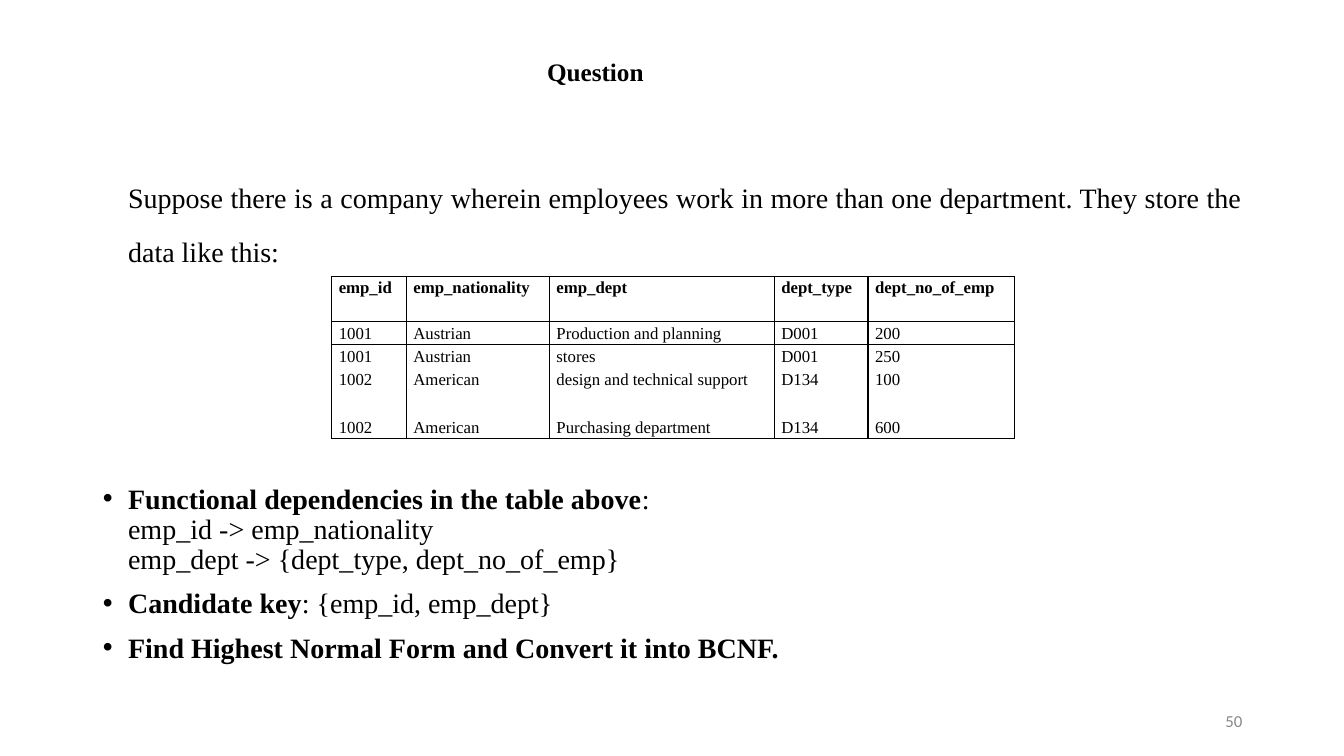
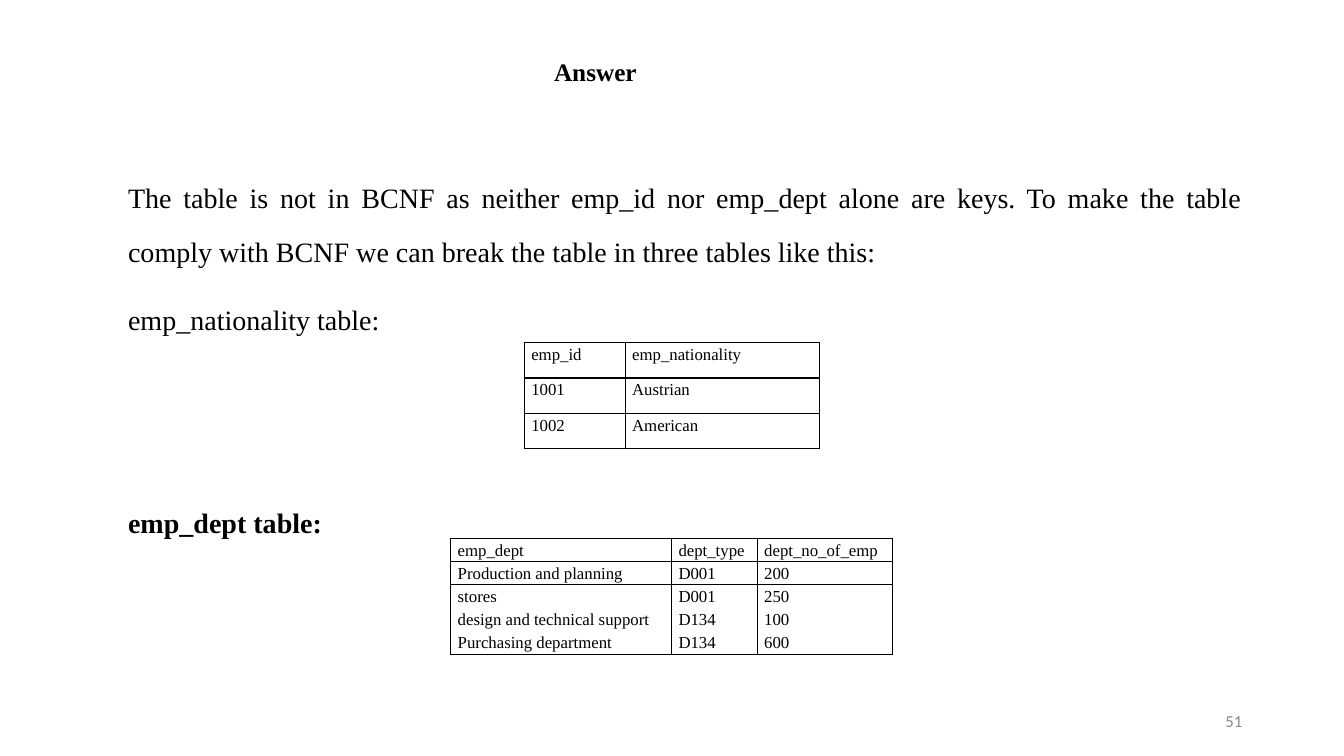
from lxml.etree import SubElement as Sub
from pptx import Presentation
from pptx.dml.color import RGBColor
from pptx.enum.text import MSO_ANCHOR as Anchor, MSO_AUTO_SIZE as Fit, PP_ALIGN as Align
from pptx.oxml.ns import qn
from pptx.util import Inches, Pt

BLACK = RGBColor(0, 0, 0)
GREY = RGBColor(0x88, 0x88, 0x88)
SERIF = "Times New Roman"
SANS = "Calibri"
PLAIN_STYLE = "{2D5ABB26-0587-4C30-8999-92F81FD0307C}"
FIRST = 50

TITLE_BOX = (0.92, 0.2, 9.97, 1.05)
BODY_BOX = (0.92, 1.54, 11.5, 5.21)
PAGE_BOX = (9.42, 6.95, 3, 0.4)

DEPTS = [
    ("Production and planning", "D001", "200"),
    ("stores", "D001", "250"),
    ("design and technical support", "D134", "100"),
    ("Purchasing department", "D134", "600"),
]
STAFF = [("1001", "Austrian"), ("1002", "American")]
STAFF_HEAD = ("emp_id", "emp_nationality")
DEPT_HEAD = ("emp_dept", "dept_type", "dept_no_of_emp")


def place(shape, box):
    shape.left, shape.top, shape.width, shape.height = map(Inches, box)


def style(font, size, bold=False, name=SERIF, color=BLACK):
    font.name, font.size, font.bold = name, Pt(size), bold
    font.color.rgb = color


def add_run(para, text, size, bold=False):
    run = para.add_run()
    run.text = text
    style(run.font, size, bold)


def add_title(slide, text, box):
    title = slide.shapes.title
    place(title, box)
    frame = title.text_frame
    frame.auto_size = Fit.NONE
    frame.vertical_anchor = Anchor.MIDDLE
    para = frame.paragraphs[0]
    para.alignment = Align.CENTER
    para.line_spacing = 0.9
    add_run(para, text, 18, True)


def add_body(slide, items, box):
    body = slide.placeholders[1]
    place(body, box)
    frame = body.text_frame
    frame.auto_size = Fit.NONE
    for i, (runs, bullet, gap) in enumerate(items):
        para = frame.add_paragraph() if i else frame.paragraphs[0]
        para.alignment = Align.LEFT if bullet else Align.JUSTIFY
        para.line_spacing = 0.9 if bullet else 1.6
        para.space_before = Pt(gap)
        props = para._p.get_or_add_pPr()
        props.set("marL", str(Inches(0.25)))
        props.set("indent", str(Inches(-0.25 if bullet else 0)))
        if bullet:
            Sub(props, qn("a:buFont"), typeface="Arial")
            Sub(props, qn("a:buChar"), char="•")
        else:
            Sub(props, qn("a:buNone"))
        for text, bold in runs:
            for j, line in enumerate(text.split("\n")):
                if j:
                    para.add_line_break()
                add_run(para, line, 20, bold)


def add_page(slide, number, box):
    shape = slide.shapes.add_textbox(*map(Inches, box))
    frame = shape.text_frame
    frame.word_wrap = True
    frame.vertical_anchor = Anchor.MIDDLE
    para = frame.paragraphs[0]
    para.alignment = Align.RIGHT
    run = para.add_run()
    run.text = str(number)
    style(run.font, 12, name=SANS, color=GREY)
    field = run._r
    field.tag = qn("a:fld")
    field.set("id", "{B6F15528-21DE-4FAA-801E-634DDDAF4B2B}")
    field.set("type", "slidenum")


def add_edges(cell, sides):
    props = cell._tc.get_or_add_tcPr()
    for side in sides:
        line = Sub(props, qn(f"a:ln{side}"), w=str(Pt(1)))
        fill = Sub(line, qn("a:solidFill"))
        Sub(fill, qn("a:srgbClr"), val=str(BLACK))


def add_grid(slide, rows, left, top, cols, highs, bold=False):
    shape = slide.shapes.add_table(
        len(rows), len(cols), Inches(left), Inches(top),
        Inches(sum(cols)), Inches(sum(highs)))
    table = shape.table
    table.first_row = table.horz_banding = False
    table._tbl.tblPr.find(qn("a:tableStyleId")).text = PLAIN_STYLE
    for col, wide in zip(table.columns, cols):
        col.width = Inches(wide)
    for r, (row, high) in enumerate(zip(rows, highs)):
        table.rows[r].height = Inches(high)
        sides = ["L", "R"]
        if r < 2:
            sides.append("T")
        if r in (0, len(rows) - 1):
            sides.append("B")
        for c, text in enumerate(row):
            cell = table.cell(r, c)
            cell.margin_left = cell.margin_right = Inches(0.07)
            cell.margin_top = cell.margin_bottom = 0
            para = cell.text_frame.paragraphs[0]
            para.line_spacing = 1.15
            add_run(para, text, 12, bold and r == 0)
            add_edges(cell, sides)
            cell.fill.background()


def add_slide(deck, title, items):
    slide = deck.slides.add_slide(deck.slide_layouts[1])
    add_title(slide, title, TITLE_BOX)
    add_body(slide, items, BODY_BOX)
    add_page(slide, FIRST + len(deck.slides) - 1, PAGE_BOX)
    return slide


def ask(deck):
    slide = add_slide(deck, "Question", [
        ([("Suppose there is a company wherein employees work in more than one "
           "department. They store the data like this:", False)], False, 0),
        ([("Functional dependencies in the table above", True),
          (":\nemp_id -> emp_nationality\n"
           "emp_dept -> {dept_type, dept_no_of_emp}", False)], True, 155),
        ([("Candidate key", True), (": {emp_id, emp_dept}", False)], True, 10),
        ([("Find Highest Normal Form and Convert it into BCNF.", True)], True, 10),
    ])
    people = [STAFF[i // 2] for i in range(len(DEPTS))]
    rows = [STAFF_HEAD + DEPT_HEAD] + [p + d for p, d in zip(people, DEPTS)]
    add_grid(slide, rows, 3.29, 2.74, (0.74, 1.42, 2.23, 0.93, 1.45),
             (0.45, 0.23, 0.23, 0.47, 0.23), True)


def answer(deck):
    slide = add_slide(deck, "Answer", [
        ([("The table is not in BCNF as neither emp_id nor emp_dept alone are keys. "
           "To make the table comply with BCNF we can break the table in three "
           "tables like this:", False)], False, 0),
        ([("emp_nationality table:", False)], False, 10),
        ([("emp_dept table:", True)], False, 107),
    ])
    add_grid(slide, [STAFF_HEAD] + STAFF, 5.2, 3.4, (1, 1.93), [0.35] * 3)
    add_grid(slide, [DEPT_HEAD] + DEPTS, 4.47, 5.34, (2.19, 0.85, 1.34), [0.17] * 5)


def main():
    deck = Presentation()
    deck.slide_width, deck.slide_height = Inches(13.33), Inches(7.5)
    deck.element.set("firstSlideNum", str(FIRST))
    ask(deck)
    answer(deck)
    deck.save("out.pptx")


if __name__ == "__main__":
    main()
